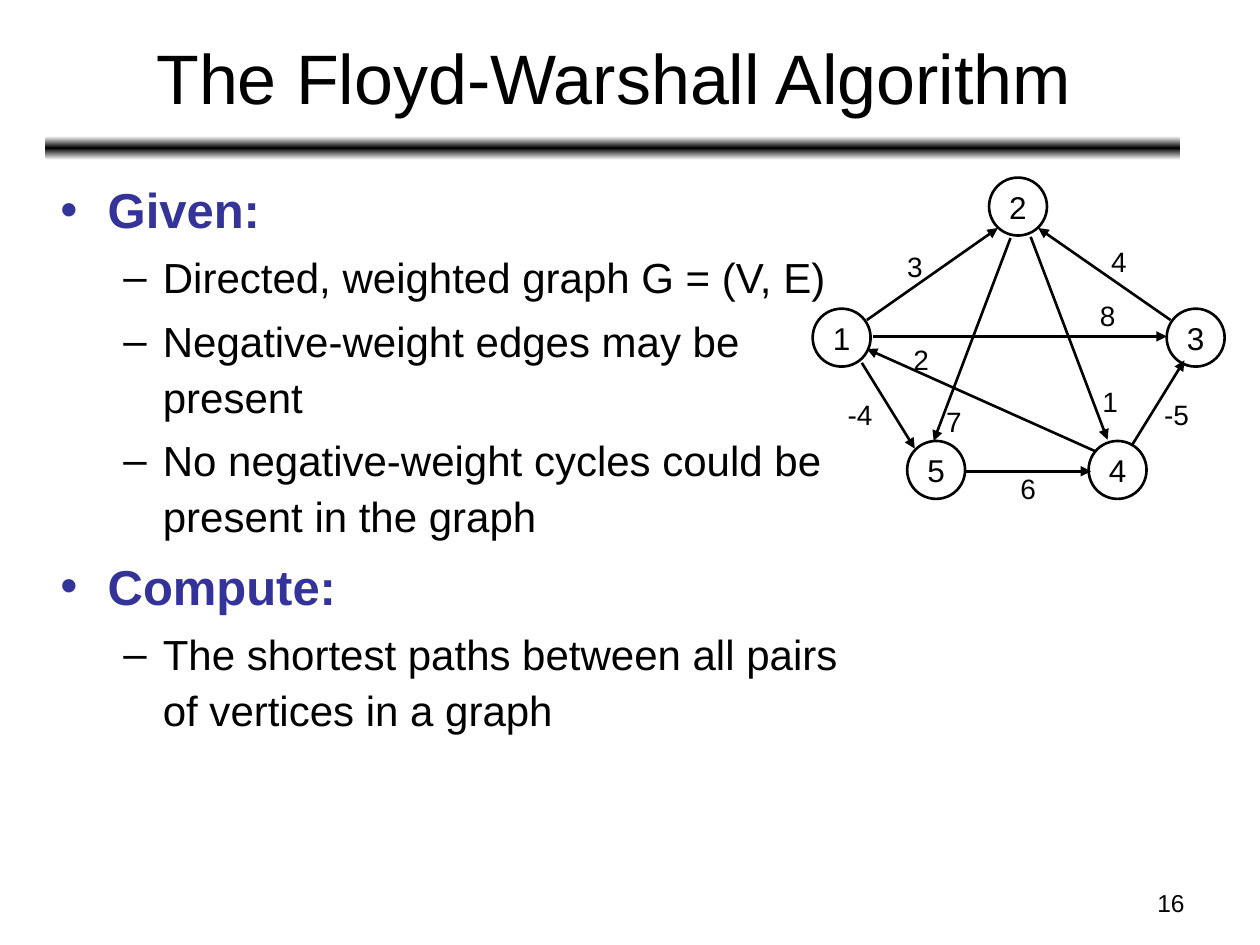
"""Build the Floyd-Warshall slide with its weighted example graph."""
import copy
from dataclasses import dataclass

import pptx
import pptx.dml.color
import pptx.enum.shapes
import pptx.enum.text
import pptx.oxml.ns
import pptx.util
from pptx.util import Inches

BLACK = pptx.dml.color.RGBColor(0x00, 0x00, 0x00)
WHITE = pptx.dml.color.RGBColor(0xFF, 0xFF, 0xFF)
INDIGO = pptx.dml.color.RGBColor(0x33, 0x33, 0x99)
FONT = "Arial"
DIAMETER = 0.46
SHAPE = pptx.enum.shapes.MSO_SHAPE
ALIGN = pptx.enum.text.PP_ALIGN
ANCHOR = pptx.enum.text.MSO_ANCHOR
AUTO_SIZE = pptx.enum.text.MSO_AUTO_SIZE


@dataclass(frozen=True)
class Vertex:
    name: str
    left: float
    top: float


@dataclass(frozen=True)
class Edge:
    weight: str
    start: tuple[float, float]
    end: tuple[float, float]
    label: tuple[float, float]


@dataclass(frozen=True)
class Point:
    text: str
    level: int = 1


VERTICES = (
    Vertex("1", 6.45, 2.45),
    Vertex("2", 7.85, 1.41),
    Vertex("3", 9.26, 2.45),
    Vertex("5", 7.2, 3.5),
    Vertex("4", 8.64, 3.5),
)
EDGES = (
    Edge("3", (6.88, 2.54), (7.92, 1.81), (7.1, 1.93)),
    Edge("-4", (6.84, 2.88), (7.26, 3.56), (6.63, 3.11)),
    Edge("6", (7.67, 3.74), (8.66, 3.74), (8, 3.69)),
    Edge("1", (8.18, 1.88), (8.79, 3.49), (8.65, 3)),
    Edge("2", (8.69, 3.58), (6.88, 2.77), (7.15, 2.67)),
    Edge("4", (9.29, 2.54), (8.24, 1.81), (8.72, 1.89)),
    Edge("7", (8.02, 1.89), (7.41, 3.5), (7.41, 3.16)),
    Edge("-5", (8.98, 3.54), (9.4, 2.86), (9.14, 3.11)),
    Edge("8", (6.93, 2.67), (9.26, 2.67), (8.63, 2.32)),
)
POINTS = (
    Point("Given:", 0),
    Point("Directed, weighted graph G = (V, E)"),
    Point("Negative-weight edges may be present"),
    Point("No negative-weight cycles could be present in the graph"),
    Point("Compute:", 0),
    Point("The shortest paths between all pairs of vertices in a graph"),
)


def add_run(paragraph, text: str, size: float, color=BLACK, bold: bool = False) -> None:
    run = paragraph.add_run()
    run.text = text
    run.font.name = FONT
    run.font.size = pptx.util.Pt(size)
    run.font.color.rgb = color
    run.font.bold = bold


def place(holder, left: float, top: float, width: float, height: float) -> None:
    holder.left, holder.top = Inches(left), Inches(top)
    holder.width, holder.height = Inches(width), Inches(height)


def add_rule(slide) -> None:
    rule = slide.shapes.add_shape(
        SHAPE.ROUNDED_RECTANGLE, Inches(0.36), Inches(1.08), Inches(9.01), Inches(0.19)
    )
    rule.shadow.inherit = False
    rule.line.fill.background()
    rule.fill.gradient()
    rule.fill.gradient_angle = 270
    stops = rule.element.spPr.find(".//" + pptx.oxml.ns.qn("a:gsLst"))
    stops.insert(1, copy.deepcopy(stops[0]))
    shades = ((0, WHITE), (0.5, BLACK), (1, WHITE))
    for stop, (position, color) in zip(rule.fill.gradient_stops, shades):
        stop.position = position
        stop.color.rgb = color


def add_title(slide) -> None:
    title = slide.shapes.title
    place(title, 0.37, 0.11, 9, 0.99)
    title.text_frame.auto_size = AUTO_SIZE.NONE
    title.text_frame.vertical_anchor = ANCHOR.MIDDLE
    add_run(title.text_frame.paragraphs[0], "The Floyd-Warshall Algorithm", 40)


def add_points(slide) -> None:
    body = slide.placeholders[1]
    place(body, 0.38, 1.33, 6.4, 5.55)
    frame = body.text_frame
    frame.auto_size = AUTO_SIZE.NONE
    for index, point in enumerate(POINTS):
        paragraph = frame.add_paragraph() if index else frame.paragraphs[0]
        paragraph.level = point.level
        paragraph.line_spacing = 1.1
        if point.level:
            add_run(paragraph, point.text, 24)
        else:
            add_run(paragraph, point.text, 28, INDIGO, True)


def add_vertex(graph, vertex: Vertex) -> None:
    circle = graph.shapes.add_shape(
        SHAPE.OVAL, Inches(vertex.left), Inches(vertex.top), Inches(DIAMETER), Inches(DIAMETER)
    )
    circle.shadow.inherit = False
    circle.fill.background()
    circle.line.color.rgb = BLACK
    circle.line.width = pptx.util.Pt(1.5)
    frame = circle.text_frame
    frame.word_wrap = False
    frame.vertical_anchor = ANCHOR.MIDDLE
    frame.paragraphs[0].alignment = ALIGN.CENTER
    add_run(frame.paragraphs[0], vertex.name, 18)


def add_edge(graph, edge: Edge) -> None:
    arrow = graph.shapes.add_connector(
        pptx.enum.shapes.MSO_CONNECTOR.STRAIGHT,
        *(Inches(value) for value in edge.start + edge.end),
    )
    arrow.line.color.rgb = BLACK
    arrow.line.width = pptx.util.Pt(1.5)
    head = pptx.oxml.parse_xml(
        f'<a:tailEnd {pptx.oxml.ns.nsdecls("a")} type="triangle"/>'
    )
    arrow.line._get_or_add_ln().append(head)
    no_effects = pptx.oxml.parse_xml(f'<a:effectLst {pptx.oxml.ns.nsdecls("a")}/>')
    arrow._element.spPr.append(no_effects)


def add_weight(graph, edge: Edge) -> None:
    width = 0.4 if edge.weight.startswith("-") else 0.32
    left, top = edge.label
    weight = graph.shapes.add_textbox(Inches(left), Inches(top), Inches(width), Inches(0.37))
    weight.text_frame.word_wrap = False
    weight.text_frame.auto_size = AUTO_SIZE.SHAPE_TO_FIT_TEXT
    add_run(weight.text_frame.paragraphs[0], edge.weight, 16)


def add_page_number(slide) -> None:
    number = slide.shapes.add_textbox(Inches(7.17), Inches(7), Inches(2.33), Inches(0.35))
    number.text_frame.word_wrap = True
    number.text_frame.paragraphs[0].alignment = ALIGN.RIGHT
    add_run(number.text_frame.paragraphs[0], "16", 14)


def main() -> None:
    deck = pptx.Presentation()
    deck.slide_width, deck.slide_height = Inches(10), Inches(7.5)
    slide = deck.slides.add_slide(deck.slide_layouts[1])
    add_rule(slide)
    add_page_number(slide)
    add_title(slide)
    add_points(slide)
    graph = slide.shapes.add_group_shape()
    for vertex in VERTICES:
        add_vertex(graph, vertex)
    for edge in EDGES:
        add_edge(graph, edge)
        add_weight(graph, edge)
    deck.save("out.pptx")


if __name__ == "__main__":
    main()
